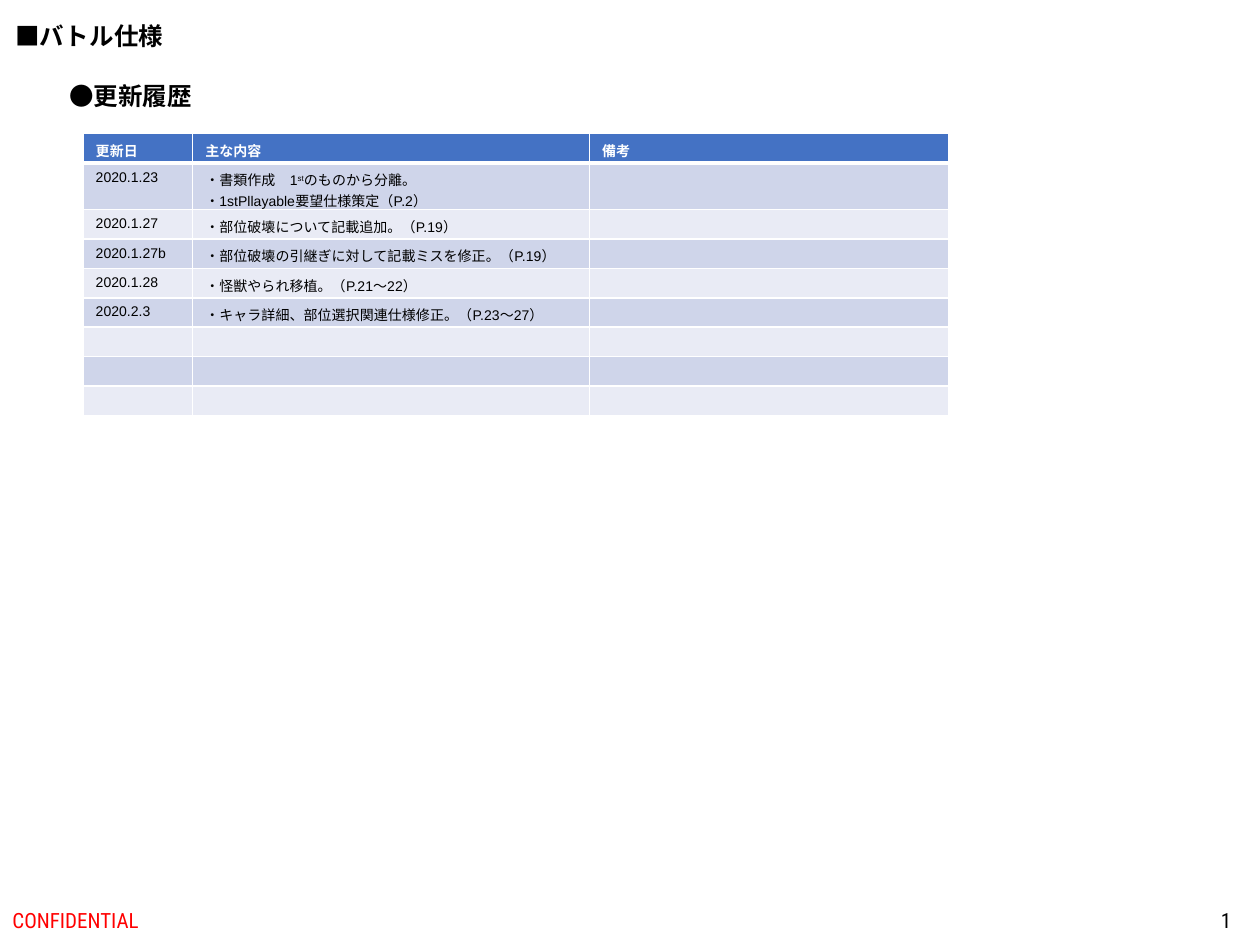
import pptx
import pptx.dml.color
import pptx.enum.text
import pptx.oxml
import pptx.oxml.ns
import pptx.util
from lxml import etree

COLORS = {
    "text": "000000", "white": "FFFFFF", "confidential": "FF0000",
    "header": "4472C4", "odd": "CFD5EA", "even": "E9EBF5",
}
WIDTH, HEIGHT = 10, 7.5
FOOTER_TOP, FOOTER_HEIGHT = 7.1, 0.4
COLUMN_WIDTHS = [0.87, 3.15, 2.85]
ROW_HEIGHT, TWO_LINE_HEIGHT = 0.23, 0.37
ROW_COUNT = 9
TABLE_SIZE = 8
HEADERS = ["更新日", "主な内容", "備考"]
# Each entry: date, then paragraphs; a tuple holds text, superscript, text.
HISTORY = [
    ("2020.1.23", [("・書類作成\u30001".replace("\u3000", "　"), "st", "のものから分離。"),
                   ("・1stPllayable要望仕様策定（P.2）",)]),
    ("2020.1.27", [("・部位破壊について記載追加。（P.19）",)]),
    ("2020.1.27b", [("・部位破壊の引継ぎに対して記載ミスを修正。（P.19）",)]),
    ("2020.1.28", [("・怪獣やられ移植。（P.21～22）",)]),
    ("2020.2.3", [("・キャラ詳細、部位選択関連仕様修正。（P.23～27）",)]),
]
HISTORY[0][1][0] = ("・書類作成　1", "st", "のものから分離。")
ALIGN = pptx.enum.text.PP_ALIGN
ANCHOR = pptx.enum.text.MSO_ANCHOR


def format_run(run, size, color, font="Arial", bold=False):
    run.font.size = pptx.util.Pt(size)
    run.font.name = font
    run.font.bold = bold
    run.font.color.rgb = pptx.dml.color.RGBColor.from_string(COLORS[color])


def fill_text(shape, text, size, color, font, bold=False, align=ALIGN.LEFT,
              anchor=ANCHOR.TOP, wrap=True):
    frame = shape.text_frame
    frame.text = text
    frame.word_wrap = wrap
    frame.vertical_anchor = anchor
    frame.auto_size = (pptx.enum.text.MSO_AUTO_SIZE.NONE if wrap
                       else pptx.enum.text.MSO_AUTO_SIZE.SHAPE_TO_FIT_TEXT)
    paragraph = frame.paragraphs[0]
    paragraph.alignment = align
    format_run(paragraph.runs[0], size, color, font, bold)


def add_text(slide, box, text, size, color, font, **options):
    shape = slide.shapes.add_textbox(*map(pptx.util.Inches, box))
    fill_text(shape, text, size, color, font, **options)


def add_title(slide, box, text):
    title = slide.shapes.title
    title.left, title.top, title.width, title.height = map(pptx.util.Inches, box)
    fill_text(title, text, 14, "text", "Arial", bold=True, wrap=False)


def add_footer(slide, left, width, text, color, align):
    add_text(slide, (left, FOOTER_TOP, width, FOOTER_HEIGHT), text, 12, color,
             "Roboto Condensed", align=align, anchor=ANCHOR.MIDDLE)


def style_cell(cell, fill, bottom_width):
    """Set white borders and a solid fill; borders must precede the fill."""
    properties = cell._tc.get_or_add_tcPr()
    for side, width in (("L", 1), ("R", 1), ("T", 1), ("B", bottom_width)):
        line = etree.SubElement(properties, pptx.oxml.ns.qn(f"a:ln{side}"),
                                w=str(pptx.util.Pt(width)))
        solid = etree.SubElement(line, pptx.oxml.ns.qn("a:solidFill"))
        etree.SubElement(solid, pptx.oxml.ns.qn("a:srgbClr"), val=COLORS["white"])
    cell.fill.solid()
    cell.fill.fore_color.rgb = pptx.dml.color.RGBColor.from_string(COLORS[fill])


def write_cell(cell, paragraphs, color, bold):
    frame = cell.text_frame
    if not paragraphs:
        # An empty cell keeps its row low only with a small end-of-paragraph size.
        etree.SubElement(frame.paragraphs[0]._p, pptx.oxml.ns.qn("a:endParaRPr"),
                         sz=str(TABLE_SIZE * 100))
    for index, pieces in enumerate(paragraphs):
        paragraph = frame.add_paragraph() if index else frame.paragraphs[0]
        for position, piece in enumerate(pieces):
            run = paragraph.add_run()
            run.text = piece
            format_run(run, TABLE_SIZE, color, bold=bold)
            if position == 1:
                run._r.get_or_add_rPr().set("baseline", "30000")


def add_history_table(slide, left, top):
    rows = [[[(header,)] for header in HEADERS]]
    rows += [[[(date,)], changes, []] for date, changes in HISTORY]
    rows += [[[], [], []] for _ in range(ROW_COUNT - len(rows))]
    heights = [TWO_LINE_HEIGHT if len(row[1]) > 1 else ROW_HEIGHT for row in rows]
    box = (left, top, sum(COLUMN_WIDTHS), sum(heights))
    table = slide.shapes.add_table(ROW_COUNT, len(COLUMN_WIDTHS),
                                   *map(pptx.util.Inches, box)).table
    for column, width in zip(table.columns, COLUMN_WIDTHS):
        column.width = pptx.util.Inches(width)
    for index, (row, height, contents) in enumerate(zip(table.rows, heights, rows)):
        row.height = pptx.util.Inches(height)
        is_header = index == 0
        fill = "header" if is_header else ("even", "odd")[index % 2]
        for cell, paragraphs in zip(row.cells, contents):
            style_cell(cell, fill, 3 if is_header else 1)
            write_cell(cell, paragraphs, "white" if is_header else "text", is_header)


def main():
    presentation = pptx.Presentation()
    presentation.slide_width = pptx.util.Inches(WIDTH)
    presentation.slide_height = pptx.util.Inches(HEIGHT)
    slide = presentation.slides.add_slide(presentation.slide_layouts[5])
    add_title(slide, (0.02, 0.12, 1.38, 0.34), "■バトル仕様")
    add_footer(slide, 0, 3.38, "CONFIDENTIAL", "confidential", ALIGN.LEFT)
    add_footer(slide, 7.62, 2.25, "1", "text", ALIGN.RIGHT)
    add_text(slide, (0.45, 0.59, 1.18, 0.34), "●更新履歴", 14, "text",
             "TeX Gyre Adventor", bold=True, wrap=False)
    add_history_table(slide, 0.66, 1.06)
    presentation.save("out.pptx")


if __name__ == "__main__":
    main()
